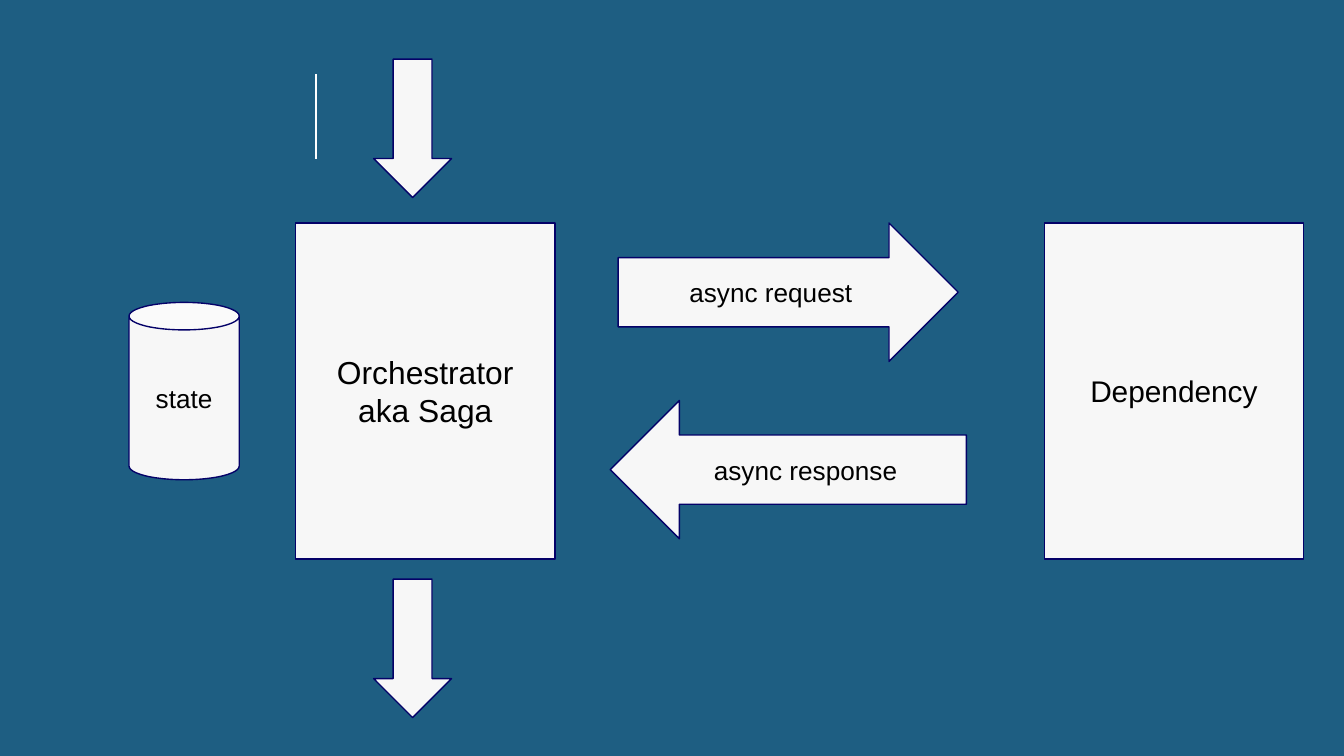
from pptx import Presentation
from pptx.dml.color import RGBColor
from pptx.enum import shapes, text
from pptx.oxml import xmlchemy
from pptx.util import Inches, Pt

BACKGROUND = RGBColor(0x1E, 0x5E, 0x82)
PALE = RGBColor(0xF7, 0xF7, 0xF7)
NAVY = RGBColor(0x04, 0x01, 0x68)
BLACK = RGBColor(0, 0, 0)
WHITE = RGBColor(0xFF, 0xFF, 0xFF)

KIND = shapes.MSO_SHAPE
LINE_WIDTH = Pt(0.75)
SLIDE_WIDTH = Inches(10)
SLIDE_HEIGHT = SLIDE_WIDTH * 9 // 16
BOX_TOP, BOX_WIDTH, BOX_HEIGHT = 1.66, 1.93, 2.5
ARROW_HEIGHT = 1.03
FLOW_LEFT, FLOW_WIDTH = 2.78, 0.58


def add_rule(slide, x, top, bottom):
    rule = slide.shapes.add_connector(
        shapes.MSO_CONNECTOR.STRAIGHT,
        Inches(x), Inches(top), Inches(x), Inches(bottom))
    rule.line.color.rgb = WHITE
    rule.line.width = LINE_WIDTH
    rule._element.spPr.append(xmlchemy.OxmlElement("a:effectLst"))


def add_block(slide, kind, left, top, width, height):
    block = slide.shapes.add_shape(
        kind, Inches(left), Inches(top), Inches(width), Inches(height))
    block.shadow.inherit = False
    block.fill.solid()
    block.fill.fore_color.rgb = PALE
    block.line.color.rgb = NAVY
    block.line.width = LINE_WIDTH
    return block


def add_label(block, lines, size):
    """Center the lines of text inside a block."""
    frame = block.text_frame
    frame_format = {
        "word_wrap": True,
        "vertical_anchor": text.MSO_ANCHOR.MIDDLE,
        **{f"margin_{side}": Inches(0.1)
           for side in ("left", "top", "right", "bottom")},
    }
    for name, value in frame_format.items():
        setattr(frame, name, value)
    frame.text = "\n".join(lines)
    for paragraph in frame.paragraphs:
        paragraph.alignment = text.PP_ALIGN.CENTER
        paragraph.font.name = "Arial"
        paragraph.font.size = Pt(size)
        paragraph.font.color.rgb = BLACK


def main():
    deck = Presentation()
    deck.slide_width, deck.slide_height = SLIDE_WIDTH, SLIDE_HEIGHT
    slide = deck.slides.add_slide(deck.slide_layouts[6])
    slide.background.fill.solid()
    slide.background.fill.fore_color.rgb = BACKGROUND

    add_rule(slide, 2.35, 0.55, 1.18)

    labelled_blocks = [
        (KIND.RECTANGLE, 2.2, BOX_TOP, BOX_WIDTH, BOX_HEIGHT,
         ["Orchestrator", "aka Saga"], 17),
        (KIND.RECTANGLE, 7.77, BOX_TOP, BOX_WIDTH, BOX_HEIGHT,
         ["Dependency"], 16),
        (KIND.RIGHT_ARROW, 4.6, BOX_TOP, 2.53, ARROW_HEIGHT,
         ["async request"], 14),
        (KIND.LEFT_ARROW, 4.54, 2.98, 2.65, ARROW_HEIGHT,
         ["async response"], 14),
        (KIND.CAN, 0.96, 2.25, 0.82, 1.32, ["state"], 14),
    ]
    for *geometry, lines, size in labelled_blocks:
        add_label(add_block(slide, *geometry), lines, size)

    for flow_top in (0.44, 4.31):
        add_block(slide, KIND.DOWN_ARROW, FLOW_LEFT, flow_top,
                  FLOW_WIDTH, ARROW_HEIGHT)

    deck.save("out.pptx")


if __name__ == "__main__":
    main()
